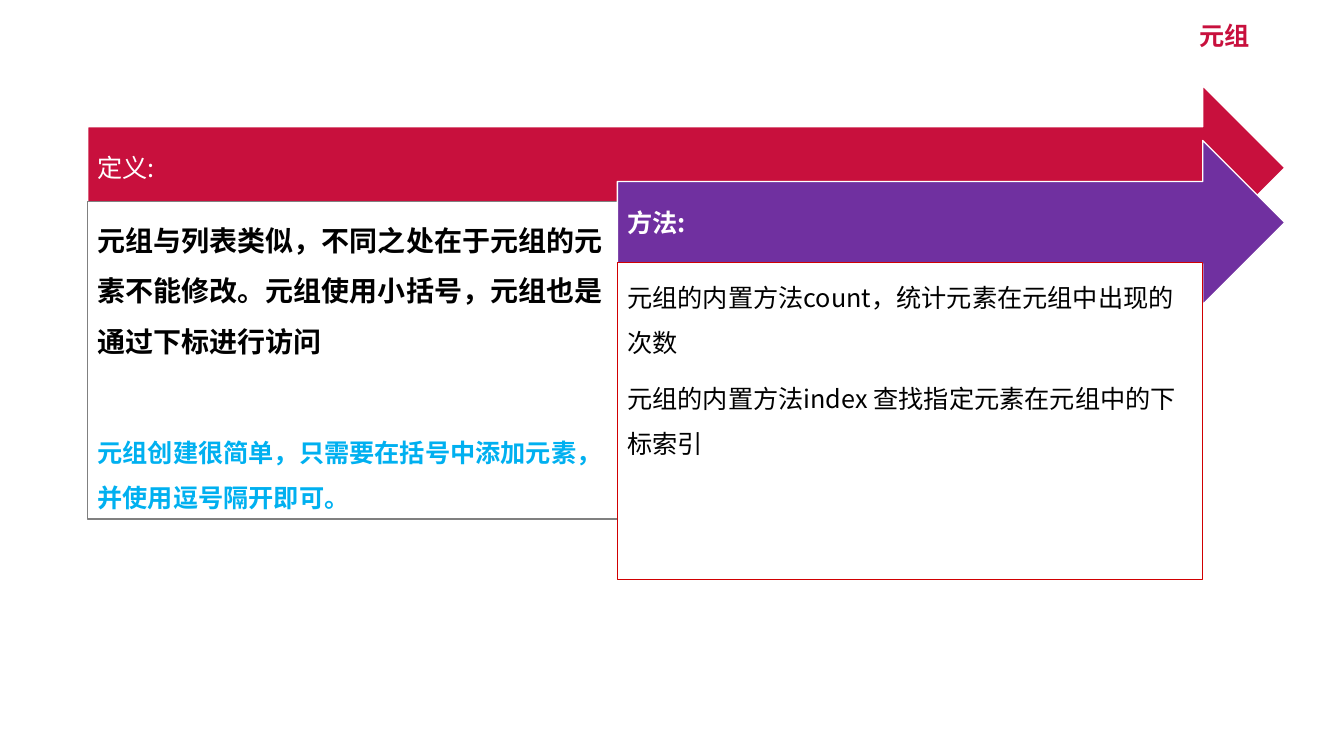
from dataclasses import dataclass

from pptx import Presentation
from pptx import util as u
from pptx.dml.color import RGBColor
from pptx.enum import shapes, text

FONT = "Noto Sans CJK SC"
RED, PURPLE, WHITE, BLACK = "C8103D", "7030A0", "FFFFFF", "000000"
ARROW_RIGHT, ARROW_HEIGHT, PANEL_HEIGHT = 32.38, 4.14, 8.0


@dataclass
class Line:
    words: str
    size: int = 18
    color: str = BLACK
    bold: bool = False
    after: float = 7


@dataclass
class Topic:
    heading: Line
    left: float
    arrow_top: float
    panel_top: float
    panel_width: float
    fill: str
    border: str
    lines: list[Line]


def rgb(value: str) -> RGBColor:
    return RGBColor.from_string(value)


def write(para, words: str, *, size: int = 18, color: str = BLACK,
          bold: bool = False, spacing: float = 1.0, after: float = 0) -> None:
    para.alignment = text.PP_ALIGN.LEFT
    para.line_spacing = spacing
    para.space_before = u.Pt(0)
    para.space_after = u.Pt(after)
    span = para.add_run()
    span.text = words
    span.font.size = u.Pt(size)
    span.font.bold = bold
    span.font.name = FONT
    span.font.color.rgb = rgb(color)
    east_asian = span.font._element.makeelement(
        "{http://schemas.openxmlformats.org/drawingml/2006/main}ea", {"typeface": FONT})
    span.font._element.find(
        "{http://schemas.openxmlformats.org/drawingml/2006/main}latin").addnext(east_asian)


def add_box(page, kind, left: float, top: float, width: float, height: float,
            fill: str, border: str):
    box = page.shapes.add_shape(kind, u.Cm(left), u.Cm(top), u.Cm(width), u.Cm(height))
    box.shadow.inherit = False
    box.fill.solid()
    box.fill.fore_color.rgb = rgb(fill)
    box.line.color.rgb = rgb(border)
    box.line.width = u.Pt(1)
    box.text_frame.word_wrap = True
    return box


def add_topic(page, topic: Topic) -> None:
    arrow = add_box(page, shapes.MSO_SHAPE.RIGHT_ARROW, topic.left, topic.arrow_top,
                    ARROW_RIGHT - topic.left, ARROW_HEIGHT, topic.fill, WHITE)
    arrow.text_frame.vertical_anchor = text.MSO_ANCHOR.MIDDLE
    write(arrow.text_frame.paragraphs[0], topic.heading.words,
          color=WHITE, bold=topic.heading.bold)

    panel = add_box(page, shapes.MSO_SHAPE.RECTANGLE, topic.left, topic.panel_top,
                    topic.panel_width, PANEL_HEIGHT, WHITE, topic.border)
    frame = panel.text_frame
    frame.vertical_anchor = text.MSO_ANCHOR.TOP
    for index, line in enumerate(topic.lines):
        para = frame.add_paragraph() if index else frame.paragraphs[0]
        write(para, line.words, size=line.size, color=line.color, bold=line.bold,
              spacing=1.5, after=line.after)


def add_title(page, words: str) -> None:
    title = page.shapes.title
    title.left, title.top = u.Cm(29.98), u.Cm(0.38)
    title.width, title.height = u.Cm(1.8), u.Cm(1.02)
    frame = title.text_frame
    frame.word_wrap = False
    frame.auto_size = text.MSO_AUTO_SIZE.NONE
    frame.vertical_anchor = text.MSO_ANCHOR.MIDDLE
    write(frame.paragraphs[0], words, color=RED, bold=True)


TOPICS = [
    Topic(Line("定义:"), 2.21, 2.16, 5.08, 13.35, RED, "808080", [
        Line("元组与列表类似，不同之处在于元组的元素不能修改。元组使用小括号，元组也是通过下标进行访问",
             size=20, bold=True, after=46),
        Line("元组创建很简单，只需要在括号中添加元素，并使用逗号隔开即可。",
             color="00B0F0", bold=True),
    ]),
    Topic(Line("方法:", bold=True), 15.56, 3.54, 6.61, 14.75, PURPLE, "D10001", [
        Line("元组的内置方法count，统计元素在元组中出现的次数"),
        Line("元组的内置方法index 查找指定元素在元组中的下标索引"),
    ]),
]

deck = Presentation()
deck.slide_width, deck.slide_height = u.Cm(33.87), u.Cm(19.05)
page = deck.slides.add_slide(deck.slide_layouts[5])
add_title(page, "元组")
for topic in TOPICS:
    add_topic(page, topic)
deck.save("out.pptx")
